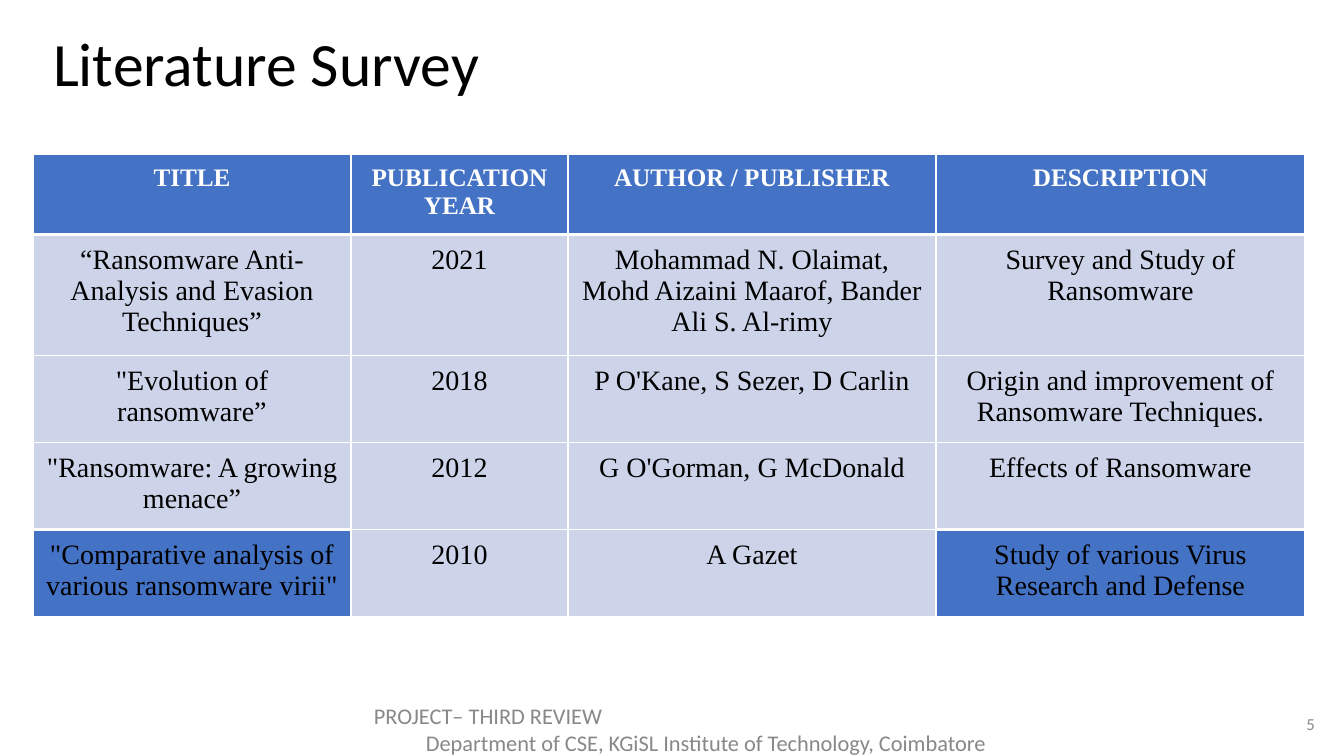
import pptx
import pptx.util
import pptx.dml.color
import pptx.enum.text
import pptx.oxml
import pptx.oxml.ns

RGBColor = pptx.dml.color.RGBColor
ALIGN = pptx.enum.text.PP_ALIGN
ANCHOR = pptx.enum.text.MSO_ANCHOR

PX = 914400 / 100.8
BLACK = RGBColor(0x00, 0x00, 0x00)
WHITE = RGBColor(0xFF, 0xFF, 0xFF)
BLUE = RGBColor(0x44, 0x72, 0xC4)
PALE_BLUE = RGBColor(0xCD, 0xD4, 0xEA)
GREY = RGBColor(0x88, 0x88, 0x88)

COLUMN_WIDTHS = [318, 217, 368, 369]
ROW_HEIGHTS = [79, 113, 83, 87, 83]
SURVEY = [
    ["TITLE", "PUBLICATION YEAR", "AUTHOR / PUBLISHER", "DESCRIPTION"],
    ["“Ransomware Anti-Analysis and Evasion Techniques”", "2021",
     "Mohammad N. Olaimat, Mohd Aizaini Maarof, Bander Ali S. Al-rimy",
     "Survey and Study of Ransomware"],
    ['"Evolution of ransomware”', "2018", "P O'Kane, S Sezer, D Carlin",
     "Origin and improvement of Ransomware Techniques."],
    ['"Ransomware: A growing menace”', "2012", "G O'Gorman, G McDonald",
     "Effects of Ransomware"],
    ['"Comparative analysis of various ransomware virii"', "2010", "A Gazet",
     "Study of various Virus Research and Defense"],
]


def px(length):
    """Turn a length in px into EMU."""
    return pptx.util.Emu(round(length * PX))


def write(paragraph, text, size, color, font="Calibri", bold=False,
          align=ALIGN.LEFT, indent=0, spacing=1.0):
    """Put formatted text into a paragraph."""
    paragraph.alignment = align
    paragraph.line_spacing = spacing
    if indent:
        paragraph._p.get_or_add_pPr().set("marL", str(px(indent)))
    run = paragraph.add_run()
    run.text = text
    run.font.size = pptx.util.Pt(size)
    run.font.name = font
    run.font.bold = bold
    run.font.color.rgb = color


def add_frame(slide, left, top, width, height):
    """Add a wrapping, vertically centred text box and return its frame."""
    frame = slide.shapes.add_textbox(px(left), px(top), px(width), px(height)).text_frame
    frame.word_wrap = True
    frame.vertical_anchor = ANCHOR.MIDDLE
    frame.margin_left = frame.margin_right = px(10)
    frame.margin_top = frame.margin_bottom = px(5)
    return frame


def add_borders(cell, top, bottom):
    """Draw white borders, with top and bottom widths in points."""
    widths = {"lnL": 1, "lnR": 1, "lnT": top, "lnB": bottom}
    properties = cell._tc.get_or_add_tcPr()
    for position, (side, width) in enumerate(widths.items()):
        properties.insert(position, pptx.oxml.parse_xml(
            f'<a:{side} {pptx.oxml.ns.nsdecls("a")} w="{pptx.util.Pt(width)}">'
            f'<a:solidFill><a:srgbClr val="{WHITE}"/></a:solidFill></a:{side}>'))


def add_title(slide, left, top, width, height):
    """Add the slide heading."""
    frame = add_frame(slide, left, top, width, height)
    write(frame.paragraphs[0], "Literature Survey", 44, BLACK, indent=10, spacing=0.9)


def add_survey(slide, left, top, width, height):
    """Add the table of surveyed papers."""
    last = len(SURVEY) - 1
    survey = slide.shapes.add_table(len(SURVEY), len(COLUMN_WIDTHS), px(left), px(top),
                                    px(width), px(height)).table
    survey.first_row = survey.horz_banding = False
    for column, column_width in zip(survey.columns, COLUMN_WIDTHS):
        column.width = px(column_width)
    for r, (row_height, entries) in enumerate(zip(ROW_HEIGHTS, SURVEY)):
        survey.rows[r].height = px(row_height)
        for c, entry in enumerate(entries):
            cell = survey.cell(r, c)
            header = r == 0
            outer = c in (0, len(entries) - 1)
            cell.margin_left = cell.margin_right = px(10)
            cell.margin_top = cell.margin_bottom = px(10)
            cell.vertical_anchor = ANCHOR.TOP
            cell.fill.solid()
            cell.fill.fore_color.rgb = BLUE if header or (r == last and outer) else PALE_BLUE
            add_borders(cell,
                        top=3 if r == 1 or (r == last and outer) else 1,
                        bottom=3 if header or (r == last - 1 and outer) else 1)
            write(cell.text_frame.paragraphs[0], entry, 18 if header else 20,
                  WHITE if header else BLACK, font="Times New Roman",
                  bold=header, align=ALIGN.CENTER)


def add_page_number(slide, left, top, width, height):
    """Add the page number."""
    frame = add_frame(slide, left, top, width, height)
    write(frame.paragraphs[0], "5", 12, GREY, align=ALIGN.RIGHT)


def add_footer(slide, left, top, width, height):
    """Add the review name and the department below it."""
    frame = add_frame(slide, left, top, width, height)
    write(frame.paragraphs[0], "PROJECT– THIRD REVIEW", 16, GREY, indent=31)
    write(frame.add_paragraph(),
          "Department of CSE, KGiSL Institute of Technology, Coimbatore",
          16, GREY, align=ALIGN.CENTER)


def main():
    """Build the slide and save it."""
    deck = pptx.Presentation()
    deck.slide_width = px(1344)
    deck.slide_height = px(756)
    slide = deck.slides.add_slide(deck.slide_layouts[6])
    add_title(slide, 33, 20, 1136, 93)
    add_survey(slide, 33, 154, sum(COLUMN_WIDTHS), sum(ROW_HEIGHTS))
    add_page_number(slide, 1264, 704, 61, 40)
    add_footer(slide, 333, 709, 746, 40)
    deck.save("out.pptx")


if __name__ == "__main__":
    main()
